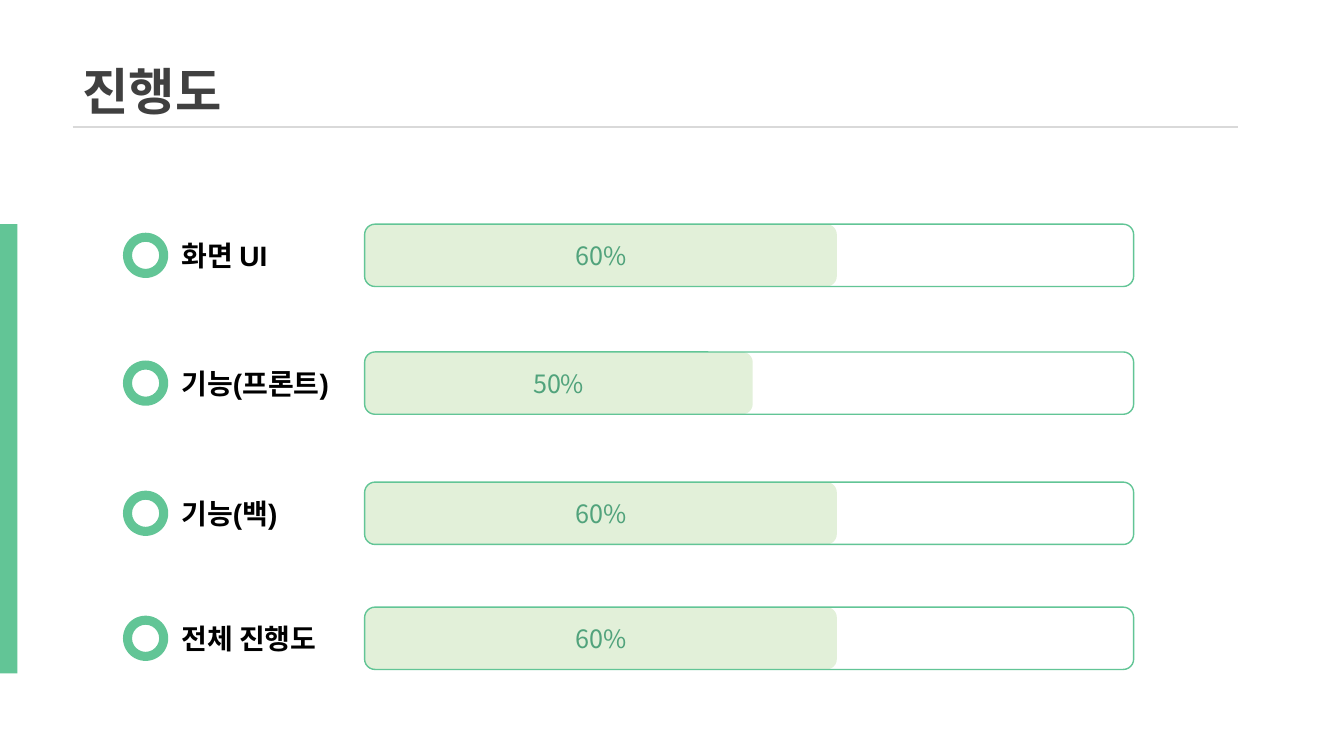
from lxml.etree import SubElement
from pptx import Presentation
from pptx.dml.color import RGBColor
from pptx.enum.shapes import MSO_CONNECTOR, MSO_SHAPE
from pptx.enum.text import MSO_ANCHOR, MSO_AUTO_SIZE, PP_ALIGN
from pptx.oxml.ns import qn
from pptx.util import Cm, Pt

KOREAN = "Noto Sans CJK KR"
GREEN = "62C596"


def color(hex_text):
    return RGBColor.from_string(hex_text)


def write(sp, text, size=18, font=KOREAN, fill="000000", bold=False,
          align=PP_ALIGN.LEFT, anchor=MSO_ANCHOR.TOP, wrap=True):
    tf = sp.text_frame
    tf.word_wrap = wrap
    tf.vertical_anchor = anchor
    p = tf.paragraphs[0]
    p.alignment = align
    r = p.add_run()
    r.text = text
    r.font.size = Pt(size)
    r.font.name = font
    r.font.bold = bold
    r.font.color.rgb = color(fill)
    SubElement(r.font._element, qn("a:ea")).set("typeface", KOREAN)


def add_shape(s, kind, left, top, width, height, fill=None, line=None):
    sp = s.shapes.add_shape(kind, Cm(left), Cm(top), Cm(width), Cm(height))
    sp.shadow.inherit = False
    if fill:
        sp.fill.solid()
        sp.fill.fore_color.rgb = color(fill)
    else:
        sp.fill.background()
    if line:
        sp.line.color.rgb = color(line)
        sp.line.width = Pt(1)
    else:
        sp.line.fill.background()
    return sp


def add_text(s, left, top, width, height, text, **fmt):
    sp = s.shapes.add_textbox(Cm(left), Cm(top), Cm(width), Cm(height))
    write(sp, text, **fmt)
    sp.text_frame.auto_size = MSO_AUTO_SIZE.SHAPE_TO_FIT_TEXT


def add_header(s, left, top, width, height):
    # Rule under the title
    bottom = top + height
    rule = s.shapes.add_connector(MSO_CONNECTOR.STRAIGHT, Cm(left), Cm(bottom),
                                  Cm(left + width), Cm(bottom))
    rule.line.color.rgb = color("D9D9D9")
    rule.line.width = Pt(1.5)
    SubElement(rule._element.spPr, qn("a:effectLst"))
    # Title
    add_text(s, left, top, 4.37, height, "진행도",
             size=36, fill="404040", bold=True, wrap=False)


def add_progress_row(s, left, top, width, height, label, percent, done):
    # Bar: finished part, then the outline of the whole
    bar_left = left + 6.09
    bar_width = width - 6.09
    sp = add_shape(s, MSO_SHAPE.ROUNDED_RECTANGLE, bar_left, top, done, height,
                   fill="E2F0D9")
    write(sp, percent, fill="51A37C", align=PP_ALIGN.CENTER,
          anchor=MSO_ANCHOR.MIDDLE)
    add_shape(s, MSO_SHAPE.ROUNDED_RECTANGLE, bar_left, top, bar_width, height,
              line=GREEN)
    # Label with its ring
    add_text(s, left + 1.22, top + 0.24, 4.87, 1.11, label,
             size=20, font="Arial", bold=True)
    ring = 1.14
    sp = add_shape(s, MSO_SHAPE.DONUT, left, top + (height - ring) / 2,
                   ring, ring, fill=GREEN)
    sp.adjustments[0] = 0.2


def main():
    prs = Presentation()
    prs.slide_width, prs.slide_height = Cm(33.87), Cm(19.05)
    s = prs.slides.add_slide(prs.slide_layouts[6])

    add_header(s, 1.83, 1.4, 29.36, 1.8)
    # Accent at the left edge
    add_shape(s, MSO_SHAPE.RECTANGLE, 0, 5.65, 0.44, 11.32, fill=GREEN)

    # Top, label, percentage and finished length of each row
    rows = [
        (5.65, "화면 UI", "60%", 11.9),
        (8.87, "기능(프론트)", "50%", 9.78),
        (12.15, "기능(백)", "60%", 11.9),
        (15.3, "전체 진행도", "60%", 11.9),
    ]
    for top, label, percent, done in rows:
        add_progress_row(s, 3.1, top, 25.47, 1.57, label, percent, done)

    prs.save("out.pptx")


if __name__ == "__main__":
    main()
